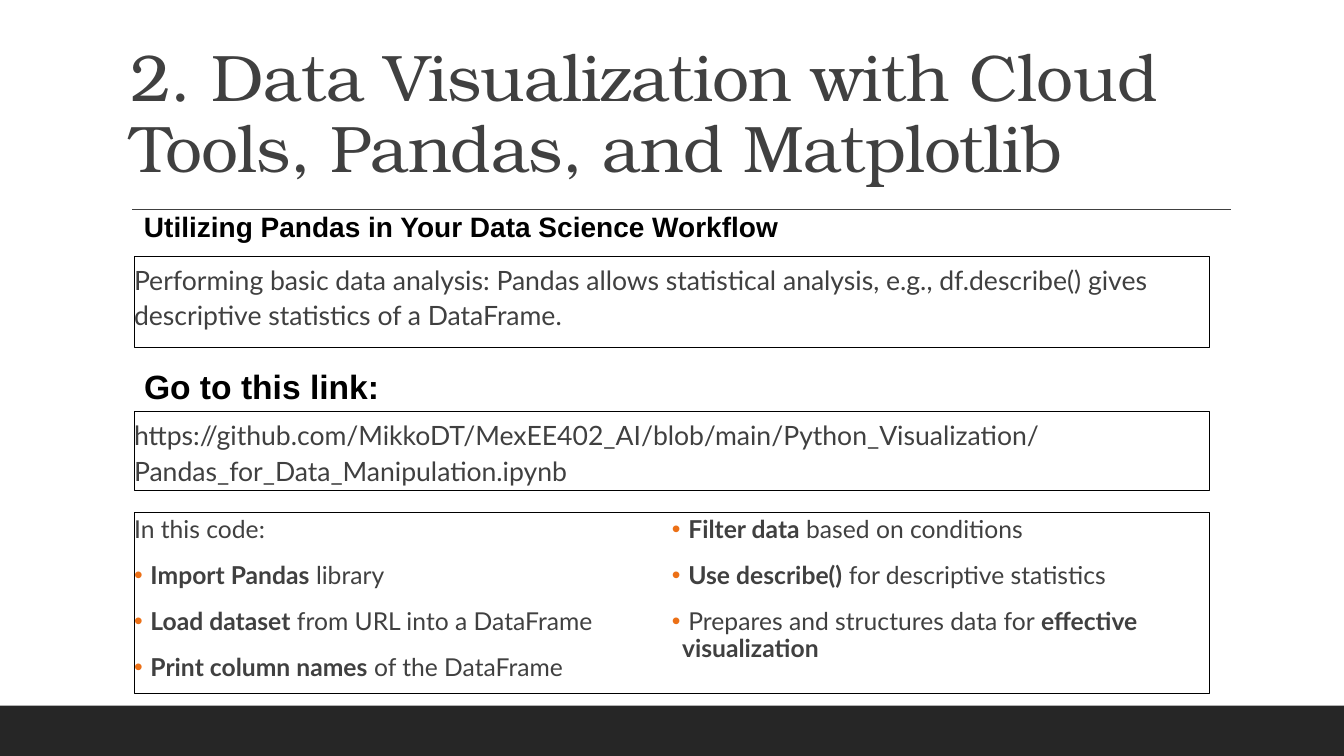
from lxml import etree
from pptx import Presentation
from pptx import util as u
from pptx.dml.color import RGBColor
from pptx.enum import shapes, text
from pptx.oxml.ns import qn

HUES = {"ink": "404040", "black": "000000", "band": "262626", "dot": "EC7016"}
LEFT, WIDE = 1.33, 10.67

deck = Presentation()
deck.slide_width, deck.slide_height = u.Inches(13.33), u.Inches(7.5)
slide = deck.slides.add_slide(deck.slide_layouts[6])


def hue(name):
    return RGBColor.from_string(HUES[name])


def write(spot, lines, size, font="Lato", color="ink", bold=False, lead=1.0,
          before=0, after=0, frame=False, cols=1, anchor="TOP", track=0):
    """Text at spot; ** switches bold and a leading • makes a bullet."""
    place = [u.Inches(n) for n in spot]
    if frame:
        box = slide.shapes.add_shape(shapes.MSO_SHAPE.RECTANGLE, *place)
        box.shadow.inherit = False
        box.fill.background()
        box.line.color.rgb = hue("black")
        box.line.width = u.Pt(0.75)
    else:
        box = slide.shapes.add_textbox(*place)
    body = box.text_frame
    body.word_wrap = True
    body.vertical_anchor = text.MSO_ANCHOR[anchor]
    if frame:
        body.margin_left = body.margin_right = 0
    if cols > 1:
        next(box.element.iter(qn("a:bodyPr"))).set("numCol", str(cols))
    for i, line in enumerate(lines):
        para = body.paragraphs[0] if i == 0 else body.add_paragraph()
        para.alignment = text.PP_ALIGN.LEFT
        para.line_spacing = lead
        para.space_before = u.Pt(before if i else 0)
        para.space_after = u.Pt(after)
        if line.startswith("•"):
            line = line[1:]
            props = para._p.get_or_add_pPr()
            props.set("marL", str(u.Inches(0.1)))
            props.set("indent", str(-u.Inches(0.1)))
            tint = etree.SubElement(props, qn("a:buClr"))
            etree.SubElement(tint, qn("a:srgbClr"), val=HUES["dot"])
            etree.SubElement(props, qn("a:buFont"), typeface="Arial")
            etree.SubElement(props, qn("a:buChar"), char="•")
        for j, part in enumerate(line.split("**")):
            if not part:
                continue
            run = para.add_run()
            run.text = part
            run.font.size = u.Pt(size)
            run.font.name = font
            run.font.bold = bold or j % 2 == 1
            run.font.color.rgb = hue(color)
            if track:
                run.font._element.set("spc", str(track))


# Footer band and title rule
band = slide.shapes.add_shape(shapes.MSO_SHAPE.RECTANGLE, 0, u.Inches(7),
                              deck.slide_width, u.Inches(0.5))
band.shadow.inherit = False
band.fill.solid()
band.fill.fore_color.rgb = hue("band")
band.line.fill.background()

rule = slide.shapes.add_connector(shapes.MSO_CONNECTOR.STRAIGHT, *[
    u.Inches(n) for n in (1.31, 2.08, 12.21, 2.08)])
rule.line.color.rgb = hue("ink")
rule.line.width = u.Pt(1)
etree.SubElement(rule.element.spPr, qn("a:effectLst"))

write((1.2, 0.31, 11, 1.59),
      ["2. Data Visualization with Cloud Tools, Pandas, and Matplotlib"],
      47, font="TeX Gyre Bonum", lead=0.9, anchor="BOTTOM", track=-50)

# Headings
for top, wide, high, size, words in (
        (2.03, 7.06, 0.44, 20, "Utilizing Pandas in Your Data Science Workflow"),
        (3.58, 5.05, 0.5, 24, "Go to this link:")):
    write((LEFT, top, wide, high), [words], size, font="Arial",
          color="black", bold=True)

# Framed boxes
for top, high, size, lead, cols, lines in (
        (2.54, 0.91, 19, 1.1, 1, [
            "Performing basic data analysis: Pandas allows statistical analysis, "
            "e.g., df.describe() gives descriptive statistics of a DataFrame."]),
        (4.08, 0.79, 19, 1.1, 1, [
            "https://github.com/MikkoDT/MexEE402_AI/blob/main/"
            "Python_Visualization/Pandas_for_Data_Manipulation.ipynb"]),
        (5.08, 1.8, 17.6, 0.9, 2, [
            "In this code:",
            "• **Import Pandas** library",
            "• **Load dataset** from URL into a DataFrame",
            "• **Print column names** of the DataFrame",
            "• **Filter data** based on conditions",
            "• **Use describe()** for descriptive statistics",
            "• Prepares and structures data for **effective visualization**"])):
    write((LEFT, top, WIDE, high), lines, size, lead=lead, before=12, after=2,
          frame=True, cols=cols)

deck.save("out.pptx")
